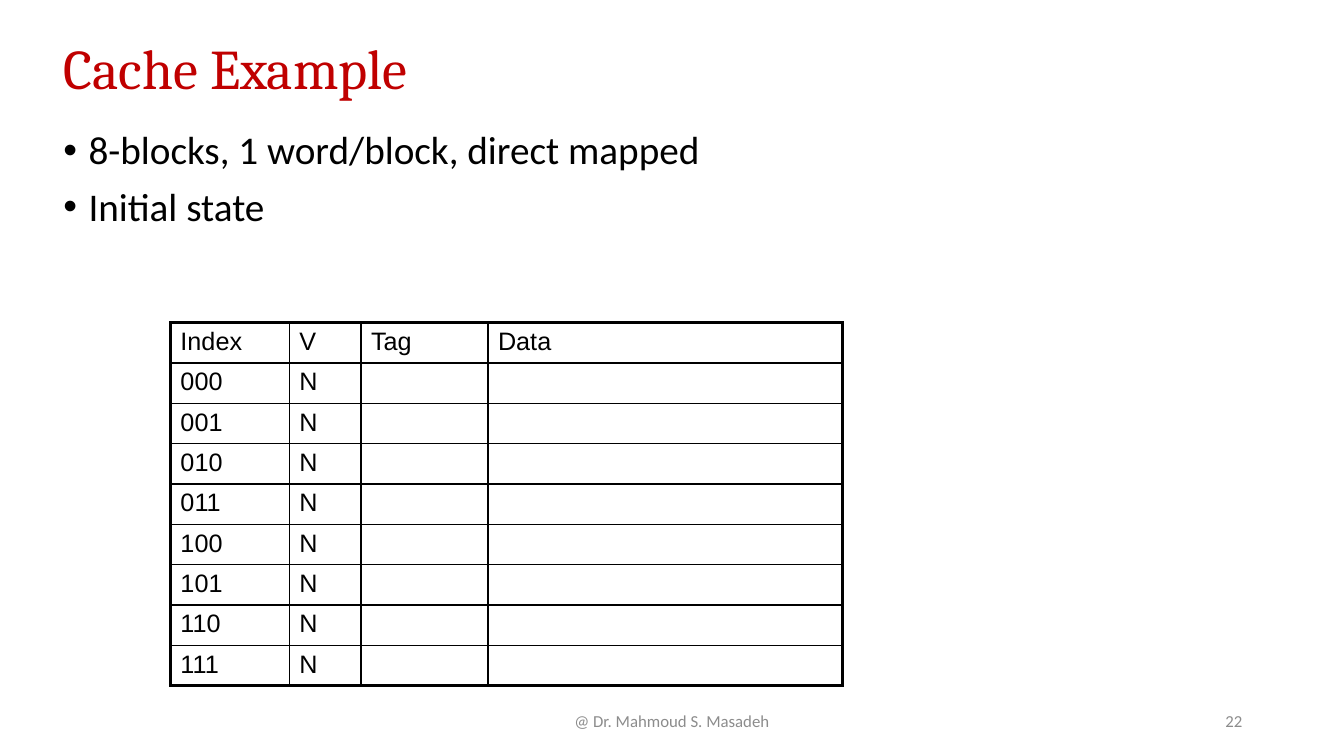
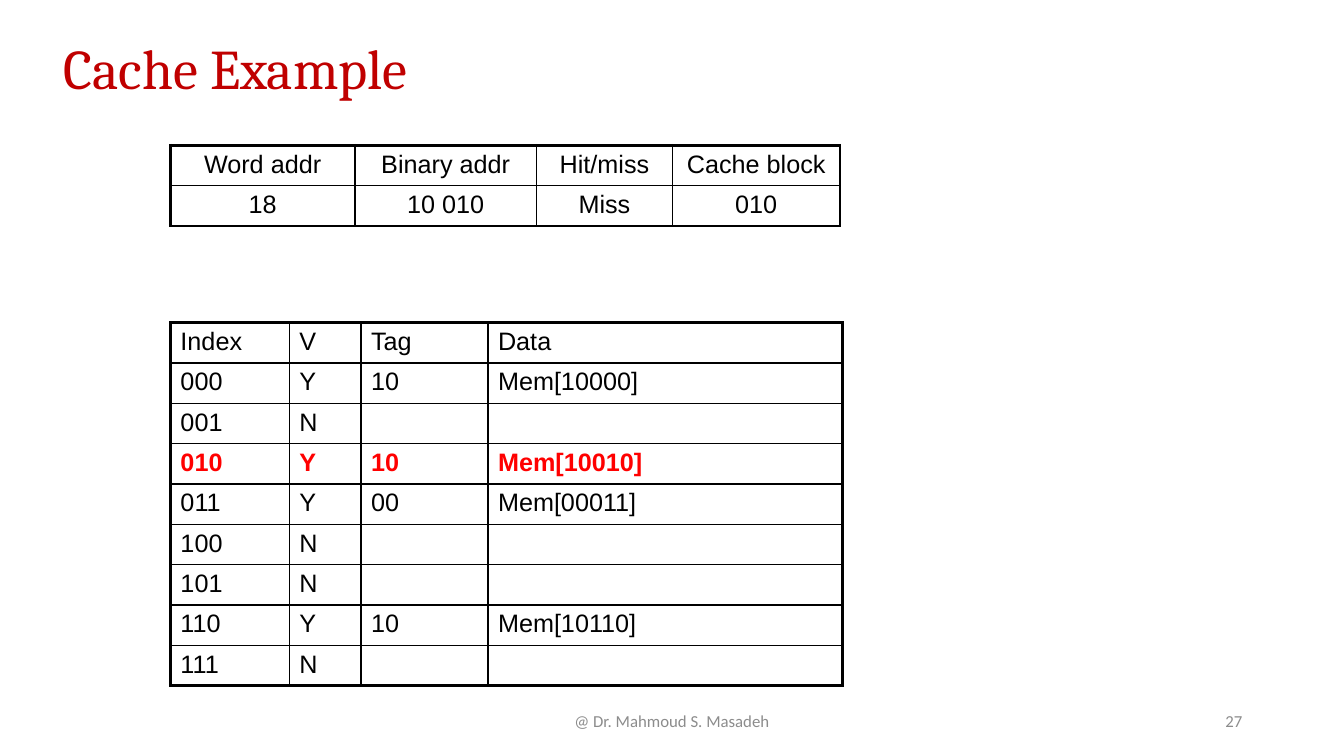
from lxml import etree
from pptx import Presentation, util as u
from pptx.dml.color import RGBColor
from pptx.enum import text
from pptx.oxml import ns

WIDTH, HEIGHT = 13.33, 7.5
MARGIN = 0.53
ROW = 0.4
TABLE_LEFT = 1.69
COLORS = {"title": "C00000", "ink": "000000", "muted": "8C8C8C", "new": "FF0000"}
TITLE = {"name": "Cambria", "size": 40, "color": "title"}
BULLET = {"name": "Calibri", "size": 28, "color": "ink"}
FOOTER = {"name": "Calibri", "size": 12, "color": "muted"}
CELL = {"name": "Arial", "size": 18, "color": "ink"}
NEW_CELL = {**CELL, "color": "new", "bold": True}
LEFT, CENTER, RIGHT = text.PP_ALIGN.LEFT, text.PP_ALIGN.CENTER, text.PP_ALIGN.RIGHT

ADDRESS_COLUMNS = [1.83, 1.8, 1.35, 1.66]
CACHE_COLUMNS = [1.18, 0.71, 1.26, 3.52]
CACHE_HEADER = ["Index", "V", "Tag", "Data"]
BLOCKS = 8
OUTER, UNDER_HEADER, INNER = 2.25, 1.5, 1


def write(paragraph, words, style, align=LEFT, **spacing):
    paragraph.alignment = align
    for name, value in spacing.items():
        setattr(paragraph, name, value)
    run = paragraph.add_run()
    run.text = words
    values = dict(style, size=u.Pt(style["size"]))
    run.font.color.rgb = RGBColor.from_string(COLORS[values.pop("color")])
    for name, value in values.items():
        setattr(run.font, name, value)


def place(shape, left, top, width, height):
    box = {"left": left, "top": top, "width": width, "height": height}
    for name, value in box.items():
        setattr(shape, name, u.Inches(value))


def add_text_box(slide, left, top, width, height, anchor):
    shape = slide.shapes.add_textbox(*map(u.Inches, (left, top, width, height)))
    frame = shape.text_frame
    frame.word_wrap = True
    frame.vertical_anchor = anchor
    return frame


def add_slide(presentation, title, number):
    """Add a slide with the shared title, credit line and page number."""
    slide = presentation.slides.add_slide(presentation.slide_layouts[5])
    place(slide.shapes.title, MARGIN, ROW, 12.32, 0.62)
    frame = slide.shapes.title.text_frame
    frame.auto_size = text.MSO_AUTO_SIZE.NONE
    frame.vertical_anchor = text.MSO_ANCHOR.MIDDLE
    write(frame.paragraphs[0], title, TITLE, line_spacing=0.9)
    footers = [
        ("@ Dr. Mahmoud S. Masadeh", (WIDTH - 4.5) / 2, 4.5, CENTER),
        (str(number), 9.42, 3, RIGHT),
    ]
    for words, left, width, align in footers:
        frame = add_text_box(slide, left, 6.95, width, ROW, text.MSO_ANCHOR.MIDDLE)
        write(frame.paragraphs[0], words, FOOTER, align)
    return slide


def add_bullets(slide, lines):
    frame = add_text_box(slide, MARGIN, 1.25, 12.44, 1.41, text.MSO_ANCHOR.TOP)
    for index, line in enumerate(lines):
        paragraph = frame.add_paragraph() if index else frame.paragraphs[0]
        write(paragraph, line, BULLET, line_spacing=0.9, space_before=u.Pt(10))
        properties = paragraph._p.get_or_add_pPr()
        properties.set("marL", str(u.Inches(0.25)))
        properties.set("indent", str(-u.Inches(0.25)))
        etree.SubElement(properties, ns.qn("a:buFont"), typeface="Arial")
        etree.SubElement(properties, ns.qn("a:buChar"), char="•")


def set_borders(cell, points_by_side):
    properties = cell._tc.get_or_add_tcPr()
    for side, points in points_by_side.items():
        line = etree.SubElement(properties, ns.qn("a:ln" + side), w=str(u.Pt(points)))
        fill = etree.SubElement(line, ns.qn("a:solidFill"))
        etree.SubElement(fill, ns.qn("a:srgbClr"), val=COLORS["ink"])


def size_empty_cell(paragraph):
    """Keep an empty cell from growing its row."""
    end = paragraph._p.get_or_add_endParaRPr()
    end.set("sz", str(CELL["size"] * 100))
    etree.SubElement(end, ns.qn("a:latin"), typeface=CELL["name"])


def add_grid(slide, top, columns, rows, align=LEFT, new_row=None):
    """Add a framed table; new_row is the index of the row to stress."""
    size = (TABLE_LEFT, top, sum(columns), ROW * len(rows))
    frame = slide.shapes.add_table(len(rows), len(columns), *map(u.Inches, size))
    table = frame.table
    table.first_row = table.horz_banding = False
    for column, width in zip(table.columns, columns):
        column.width = u.Inches(width)
    across = [OUTER, UNDER_HEADER] + [INNER] * (len(rows) - 2) + [OUTER]
    down = [OUTER] + [INNER] * (len(columns) - 1) + [OUTER]
    for r, row in enumerate(rows):
        table.rows[r].height = u.Inches(ROW)
        for c, words in enumerate(row):
            cell = table.cell(r, c)
            set_borders(cell, {"L": down[c], "R": down[c + 1],
                               "T": across[r], "B": across[r + 1]})
            cell.fill.background()
            paragraph = cell.text_frame.paragraphs[0]
            if words:
                write(paragraph, words, NEW_CELL if r == new_row else CELL, align)
            else:
                size_empty_cell(paragraph)


def add_cache(slide, tags, new_block=None):
    """Draw the cache; tags maps each valid block to its tag."""
    rows = [CACHE_HEADER]
    for block in range(BLOCKS):
        index, tag = f"{block:03b}", tags.get(block)
        rows.append([index, "Y", tag, f"Mem[{tag}{index}]"] if tag
                    else [index, "N", "", ""])
    new_row = None if new_block is None else new_block + 1
    add_grid(slide, 8 * ROW, CACHE_COLUMNS, rows, new_row=new_row)


def main():
    presentation = Presentation()
    presentation.slide_width = u.Inches(WIDTH)
    presentation.slide_height = u.Inches(HEIGHT)

    slide = add_slide(presentation, "Cache Example", 22)
    add_bullets(slide, ["8-blocks, 1 word/block, direct mapped", "Initial state"])
    add_cache(slide, {})

    slide = add_slide(presentation, "Cache Example", 27)
    add_cache(slide, {0: "10", 2: "10", 3: "00", 6: "10"}, new_block=2)
    add_grid(slide, 3.6 * ROW, ADDRESS_COLUMNS, [
        ["Word addr", "Binary addr", "Hit/miss", "Cache block"],
        ["18", "10 010", "Miss", "010"],
    ], CENTER)

    presentation.save("out.pptx")


if __name__ == "__main__":
    main()
